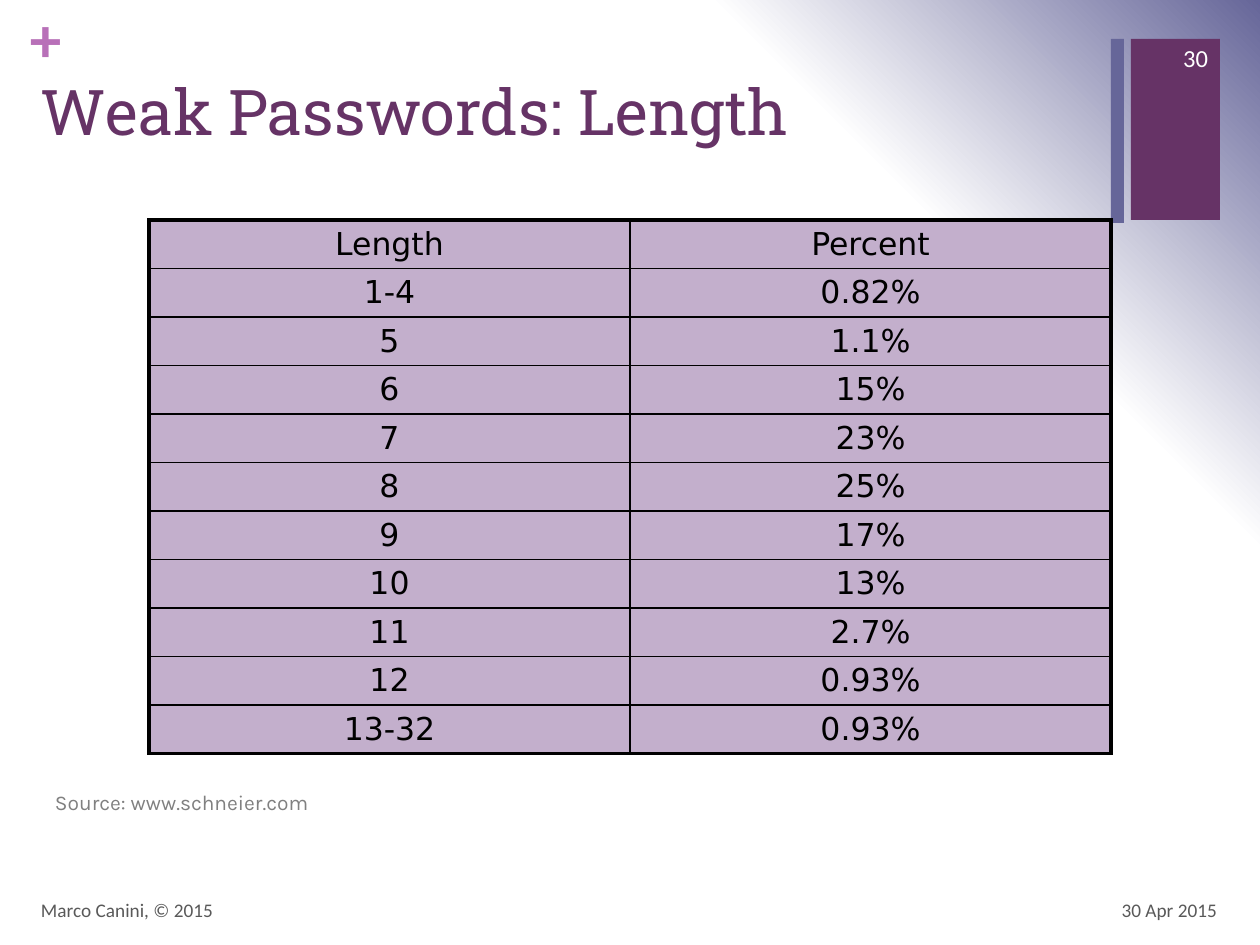
"""Build the password length slide: decorated corner, title, table and footers."""

from dataclasses import dataclass

from lxml.etree import SubElement
from pptx import Presentation
from pptx.dml.color import RGBColor
from pptx.enum.shapes import MSO_SHAPE
from pptx.enum.text import MSO_ANCHOR, PP_ALIGN
from pptx.oxml import parse_xml
from pptx.oxml.ns import nsdecls, qn
from pptx.slide import Slide
from pptx.table import _Cell
from pptx.util import Emu, Pt

EMU_PER_PIXEL = 914400 / 126
PLUM = RGBColor(0x66, 0x33, 0x66)
SLATE = RGBColor(0x66, 0x66, 0x99)
ORCHID = RGBColor(0xB8, 0x70, 0xB8)
LILAC = RGBColor(0xC3, 0xAF, 0xCC)
BLACK = RGBColor(0x00, 0x00, 0x00)
WHITE = RGBColor(0xFF, 0xFF, 0xFF)
GRAY = RGBColor(0x80, 0x80, 0x80)
DARK_GRAY = RGBColor(0x59, 0x59, 0x59)

OUTER_BORDER = Pt(2.25)
INNER_BORDER = Pt(1)
ROW_HEIGHT = 42
TABLE_BOX = (149, 220, 962, 554)
TABLE_ROWS = [
    ("Length", "Percent"),
    ("1-4", "0.82%"),
    ("5", "1.1%"),
    ("6", "15%"),
    ("7", "23%"),
    ("8", "25%"),
    ("9", "17%"),
    ("10", "13%"),
    ("11", "2.7%"),
    ("12", "0.93%"),
    ("13-32", "0.93%"),
]


@dataclass(frozen=True)
class Bar:
    box: tuple[int, int, int, int]
    color: RGBColor


@dataclass(frozen=True)
class Label:
    text: str
    box: tuple[int, int, int, int]
    font: str
    size: int
    color: RGBColor
    align: PP_ALIGN = PP_ALIGN.LEFT
    anchor: MSO_ANCHOR = MSO_ANCHOR.TOP
    bold: bool = False
    margins: tuple[int, int] = (13, 6)


BARS = [
    Bar((1131, 39, 89, 181), PLUM),
    Bar((1111, 39, 13, 184), SLATE),
]
LABELS = [
    Label("+", (30, 0, 37, 77), "Calibri", 36, ORCHID, bold=True, margins=(0, 0)),
    Label("Weak Passwords: Length", (28, 67, 1082, 154), "Roboto Slab", 36, PLUM),
    Label("30 Apr 2015", (936, 885, 294, 50), "Calibri", 11, DARK_GRAY,
          PP_ALIGN.RIGHT, MSO_ANCHOR.MIDDLE),
    Label("Marco Canini, © 2015", (28, 885, 844, 50), "Calibri", 11, DARK_GRAY,
          anchor=MSO_ANCHOR.MIDDLE),
    Label("30", (1144, 33, 77, 50), "Calibri", 14, WHITE,
          PP_ALIGN.RIGHT, MSO_ANCHOR.MIDDLE),
    Label("Source: www.schneier.com", (42, 784, 315, 38), "Karla", 12, GRAY),
]


def px(length: int) -> Emu:
    """Turn pixels into EMU."""
    return Emu(round(length * EMU_PER_PIXEL))


def set_attributes(target: object, values: dict) -> None:
    """Set each named attribute on the target."""
    for name, value in values.items():
        setattr(target, name, value)


def format_font(font: object, name: str, size: int, color: RGBColor, bold: bool = False) -> None:
    """Apply typeface, size, weight and colour."""
    set_attributes(font, {"name": name, "size": Pt(size), "bold": bold})
    font.color.rgb = color


def paint_background(slide: Slide) -> None:
    """Fill the background with a gradient that darkens away from the lower left."""
    stops = "".join(
        f'<a:gs pos="{percent * 1000}"><a:srgbClr val="{color}"/></a:gs>'
        for percent, color in ((0, WHITE), (75, WHITE), (100, SLATE))
    )
    background = parse_xml(
        f'<p:bg {nsdecls("p", "a")}><p:bgPr><a:gradFill rotWithShape="1">'
        f'<a:gsLst>{stops}</a:gsLst><a:path path="circle">'
        '<a:fillToRect t="100000" r="100000"/></a:path></a:gradFill>'
        "<a:effectLst/></p:bgPr></p:bg>"
    )
    slide.element.cSld.insert(0, background)


def draw_bar(slide: Slide, bar: Bar) -> None:
    """Draw a plain filled rectangle."""
    shape = slide.shapes.add_shape(MSO_SHAPE.RECTANGLE, *map(px, bar.box))
    shape.shadow.inherit = False
    shape.fill.solid()
    shape.fill.fore_color.rgb = bar.color
    shape.line.fill.background()


def draw_label(slide: Slide, label: Label) -> None:
    """Draw one line of text in a text box."""
    frame = slide.shapes.add_textbox(*map(px, label.box)).text_frame
    side, edge = map(px, label.margins)
    set_attributes(frame, {
        "word_wrap": True, "vertical_anchor": label.anchor,
        "margin_left": side, "margin_right": side,
        "margin_top": edge, "margin_bottom": edge,
    })
    paragraph = frame.paragraphs[0]
    paragraph.alignment = label.align
    run = paragraph.add_run()
    run.text = label.text
    format_font(run.font, label.font, label.size, label.color, label.bold)


def set_borders(cell: _Cell, widths: dict[str, Emu]) -> None:
    """Give each side of a cell a black line."""
    properties = cell._tc.get_or_add_tcPr()
    for index, (side, width) in enumerate(widths.items()):
        line = SubElement(properties, qn(f"a:ln{side}"), w=str(int(width)))
        fill = SubElement(line, qn("a:solidFill"))
        SubElement(fill, qn("a:srgbClr"), val=str(BLACK))
        properties.insert(index, line)


def draw_table(slide: Slide) -> None:
    """Draw the table of password lengths with a heavier outer frame."""
    row_count, column_count = len(TABLE_ROWS), len(TABLE_ROWS[0])
    graphic_frame = slide.shapes.add_table(row_count, column_count, *map(px, TABLE_BOX))
    table = graphic_frame.table
    set_attributes(table, {"first_row": False, "horz_banding": False})
    for row_index, values in enumerate(TABLE_ROWS):
        table.rows[row_index].height = px(ROW_HEIGHT)
        for column_index, value in enumerate(values):
            cell = table.cell(row_index, column_index)
            set_attributes(cell, {
                "text": value, "vertical_anchor": MSO_ANCHOR.MIDDLE,
                "margin_left": px(28), "margin_right": px(28),
                "margin_top": px(6), "margin_bottom": px(6),
            })
            cell.fill.solid()
            cell.fill.fore_color.rgb = LILAC
            paragraph = cell.text_frame.paragraphs[0]
            paragraph.alignment = PP_ALIGN.CENTER
            format_font(paragraph.runs[0].font, "DejaVu Sans", 18, BLACK)
            is_outer = {
                "L": column_index == 0,
                "R": column_index == column_count - 1,
                "T": row_index == 0,
                "B": row_index == row_count - 1,
            }
            set_borders(cell, {
                side: OUTER_BORDER if outer else INNER_BORDER
                for side, outer in is_outer.items()
            })
    graphic_frame.height = px(TABLE_BOX[3])


def main() -> None:
    """Build and save the presentation."""
    presentation = Presentation()
    set_attributes(presentation, {"slide_width": px(1260), "slide_height": px(945)})
    slide = presentation.slides.add_slide(presentation.slide_layouts[6])
    paint_background(slide)
    for bar in BARS:
        draw_bar(slide, bar)
    draw_table(slide)
    for label in LABELS:
        draw_label(slide, label)
    presentation.save("out.pptx")


if __name__ == "__main__":
    main()
